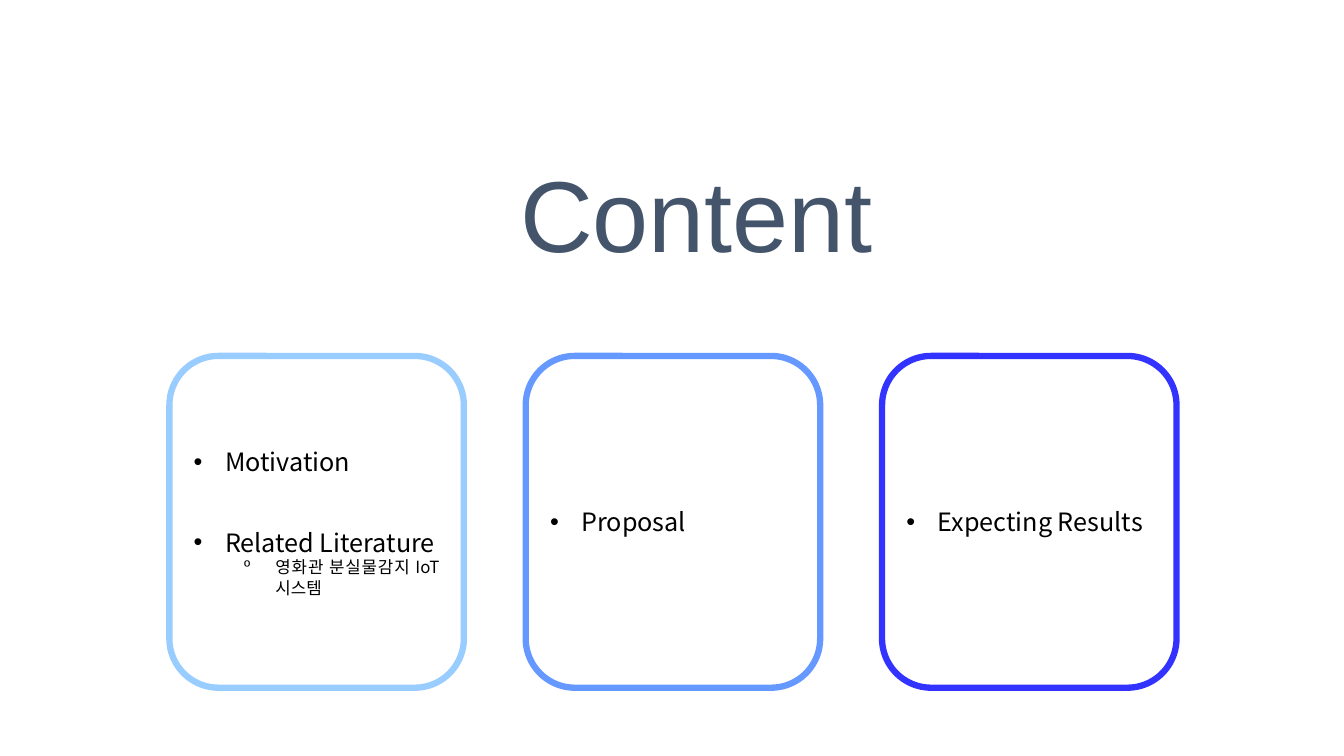
from lxml import etree
from pptx import Presentation
from pptx.dml.color import RGBColor
from pptx.enum.shapes import MSO_SHAPE
from pptx.enum.text import MSO_ANCHOR, PP_ALIGN
from pptx.oxml.ns import qn
from pptx.util import Cm, Pt

ROUNDED = MSO_SHAPE.ROUNDED_RECTANGLE
MIDDLE, TOP = MSO_ANCHOR.MIDDLE, MSO_ANCHOR.TOP
CENTER, JUSTIFY = PP_ALIGN.CENTER, PP_ALIGN.JUSTIFY

COLORS = {
    "title": "44546A",
    "text": "000000",
    "background": "99CCFF",
    "proposal": "6699FF",
    "results": "3333FF",
}
TITLE_FONT, BODY_FONT = "Arial", "Noto Sans CJK KR"
HANGING = 0.79
LEVELS = [
    {"bullet": "•", "size": 18, "margin": 0.79},
    {"bullet": "º", "size": 12, "margin": 2.06},
]
CARDS = [
    ("background", [
        ("Motivation", 0, 0),
        ("Related Literature", 0, 36),
        ("영화관 분실물감지 IoT시스템", 1, 0),
    ]),
    ("proposal", [("Proposal", 0, 0)]),
    ("results", [("Expecting Results", 0, 0)]),
]
TITLE_BOX = (10.06, 3.84, 14.99, 4.11)
CARDS_BOX = (4.27, 8.97, 25.38, 8.36)
CARD_WIDTH = 7.42


def apply_format(target, values):
    """Set each named attribute on the target."""
    for name, value in values.items():
        setattr(target, name, value)


def add_run(paragraph, text, font_name, size, color):
    """Add text in one font for Latin and East Asian letters."""
    run = paragraph.add_run()
    run.text = text
    apply_format(run.font, {"name": font_name, "size": Pt(size)})
    run.font.color.rgb = RGBColor.from_string(COLORS[color])
    properties = run.font._element
    east_asian = etree.Element(qn("a:ea"), typeface=font_name)
    properties.find(qn("a:latin")).addnext(east_asian)


def add_title(slide, box):
    """Place the slide title in the given box."""
    frame = slide.shapes.add_textbox(*map(Cm, box)).text_frame
    apply_format(frame, {"word_wrap": True, "vertical_anchor": TOP, "margin_top": Cm(0.33)})
    paragraph = frame.paragraphs[0]
    apply_format(paragraph, {"alignment": CENTER, "line_spacing": 0.9})
    add_run(paragraph, "Content", TITLE_FONT, 72, "title")


def add_bullet(paragraph, text, level, space_before):
    """Write one bulleted entry of a card."""
    style = LEVELS[level]
    properties = paragraph._p.get_or_add_pPr()
    properties.set("marL", str(Cm(style["margin"])))
    properties.set("indent", str(-Cm(HANGING)))
    etree.SubElement(properties, qn("a:buFont"), typeface="Arial")
    etree.SubElement(properties, qn("a:buChar"), char=style["bullet"])
    apply_format(paragraph, {"alignment": JUSTIFY, "level": level, "space_before": Pt(space_before)})
    add_run(paragraph, text, BODY_FONT, style["size"], "text")


def add_card(slide, box, color, entries):
    """Draw one outlined card with its bulleted entries."""
    card = slide.shapes.add_shape(ROUNDED, *map(Cm, box))
    card.shadow.inherit = False
    card.fill.background()
    card.line.color.rgb = RGBColor.from_string(COLORS[color])
    card.line.width = Pt(4.5)
    frame = card.text_frame
    apply_format(frame, {"word_wrap": True, "vertical_anchor": MIDDLE})
    for index, entry in enumerate(entries):
        paragraph = frame.add_paragraph() if index else frame.paragraphs[0]
        add_bullet(paragraph, *entry)


def add_cards(slide, box):
    """Spread the cards evenly over the given box."""
    left, top, width, height = box
    pitch = (width - CARD_WIDTH) / (len(CARDS) - 1)
    for index, (color, entries) in enumerate(CARDS):
        add_card(slide, (left + index * pitch, top, CARD_WIDTH, height), color, entries)


def main():
    """Build and save the presentation."""
    presentation = Presentation()
    apply_format(presentation, {"slide_width": Cm(33.87), "slide_height": Cm(19.05)})
    slide = presentation.slides.add_slide(presentation.slide_layouts[6])
    add_title(slide, TITLE_BOX)
    add_cards(slide, CARDS_BOX)
    presentation.save("out.pptx")


if __name__ == "__main__":
    main()
